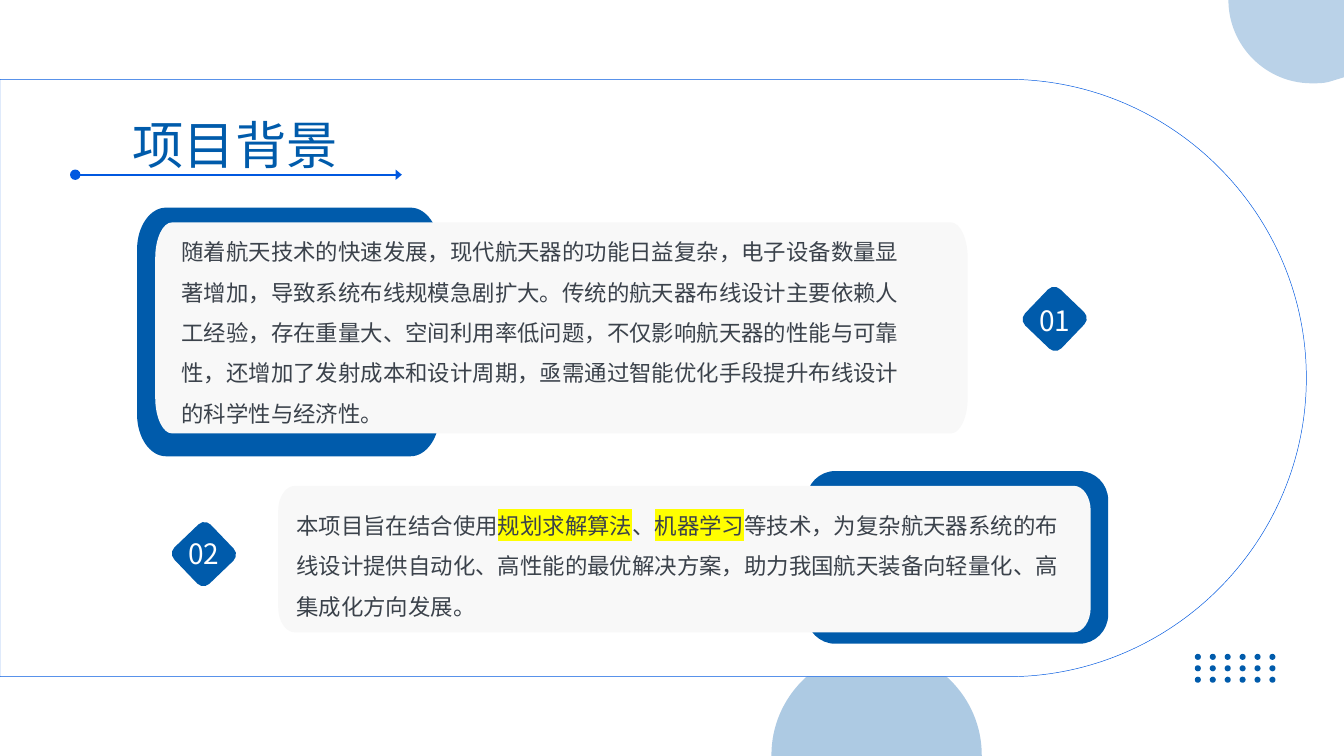
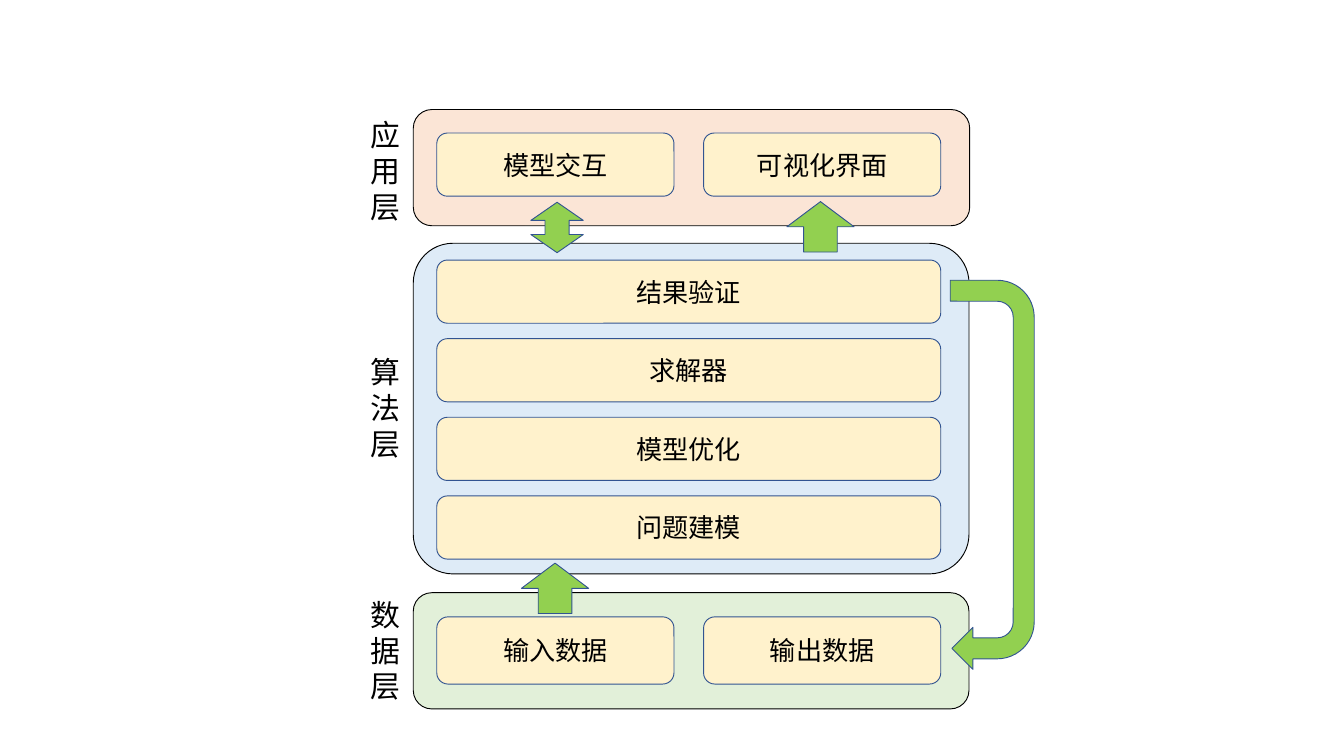
from collections import namedtuple

from lxml.etree import SubElement
from pptx import Presentation
from pptx.dml.color import RGBColor
from pptx.enum.shapes import MSO_CONNECTOR, MSO_SHAPE
from pptx.enum.text import MSO_ANCHOR, MSO_AUTO_SIZE, PP_ALIGN
from pptx.oxml.ns import qn
from pptx.util import Inches, Pt

WIDTH, HEIGHT = 20, 11.25
FONT = "Noto Sans CJK SC"
COLORS = {
    "blue": "005BAB", "bright": "0058E0", "white": "FFFFFF", "panel": "F8F8F8",
    "ink": "3B424B", "black": "000000", "marker": "FFFF00",
    "data": "E2F0D9", "algorithm": "DEEBF7", "application": "FBE5D6",
    "card": "FFF2CC", "outline": "325491", "arrow": "92D050",
}
Box = namedtuple("Box", "left top width height")


# Shared helpers
def place(box):
    return [Inches(value) for value in box]


def paint(shape, fill, line=None, weight=1.0, opacity=None):
    shape.shadow.inherit = False
    shape.fill.solid()
    shape.fill.fore_color.rgb = RGBColor.from_string(COLORS[fill])
    if opacity:
        color = shape.fill._xPr.find(".//" + qn("a:srgbClr"))
        SubElement(color, qn("a:alpha"), val=str(opacity * 1000))
    if line:
        shape.line.color.rgb = RGBColor.from_string(COLORS[line])
        shape.line.width = Pt(weight)
    else:
        shape.line.fill.background()


def add_preset(page, kind, box, fill, line=None, adjustments=(), rotation=0):
    shape = page.shapes.add_shape(kind, *place(box))
    for index, value in enumerate(adjustments):
        shape.adjustments[index] = value
    if len(adjustments) > 1:  # guides must be numbered in order
        for number, guide in enumerate(shape._element.iter(qn("a:gd")), 1):
            guide.set("name", f"adj{number}")
    shape.rotation = rotation
    paint(shape, fill, line)
    return shape


def quarter(start, corner, end):
    """Curve segment for a quarter ellipse that bends around a corner."""
    def toward(point):
        return tuple(p + 0.55 * (c - p) for p, c in zip(point, corner))
    return [toward(start), toward(end), end]


def add_outline(page, start, segments, fill, **style):
    """Closed outline; a segment has one point (line) or three (curve)."""
    builder = page.shapes.build_freeform(*map(Inches, start))
    builder.add_line_segments(
        [tuple(map(Inches, point)) for segment in segments for point in segment])
    shape = builder.convert_to_shape()
    steps = iter(list(shape._element.iter(qn("a:lnTo"))))
    for segment in segments:
        step = next(steps)
        if len(segment) == 3:
            step.tag = qn("a:cubicBezTo")
            for _ in range(2):
                extra = next(steps)
                step.append(extra[0])
                extra.getparent().remove(extra)
    paint(shape, fill, **style)


def add_rounded(page, box, radius_x, radius_y, fill):
    """Rectangle with elliptical corners."""
    left, top = box.left, box.top
    right, bottom = left + box.width, top + box.height
    inner_left, inner_right = left + radius_x, right - radius_x
    inner_top, inner_bottom = top + radius_y, bottom - radius_y
    segments = [
        quarter((left, inner_top), (left, top), (inner_left, top)),
        [(inner_right, top)],
        quarter((inner_right, top), (right, top), (right, inner_top)),
        [(right, inner_bottom)],
        quarter((right, inner_bottom), (right, bottom), (inner_right, bottom)),
        [(inner_left, bottom)],
        quarter((inner_left, bottom), (left, bottom), (left, inner_bottom)),
    ]
    add_outline(page, (left, inner_top), segments, fill)


def write_text(shape, spans, size, color="black", align=None, spacing=None,
               anchor=MSO_ANCHOR.TOP, inset=None):
    """Fill a shape with spans: a string, or (text, highlight) pairs."""
    frame = shape.text_frame
    frame.word_wrap = True
    frame.auto_size = MSO_AUTO_SIZE.NONE
    frame.vertical_anchor = anchor
    if inset is not None:
        frame.margin_left = frame.margin_right = Inches(inset)
        frame.margin_top = frame.margin_bottom = Inches(inset)
    para = frame.paragraphs[0]
    para.alignment = align
    para.line_spacing = spacing
    for text, highlight in [(spans, None)] if isinstance(spans, str) else spans:
        span = para.add_run()
        span.text = text
        span.font.size = Pt(size)
        span.font.color.rgb = RGBColor.from_string(COLORS[color])
        properties = span._r.get_or_add_rPr()
        if highlight:
            marker = SubElement(properties, qn("a:highlight"))
            SubElement(marker, qn("a:srgbClr"), val=COLORS[highlight])
        span.font.name = FONT
        SubElement(properties, qn("a:ea"), typeface=FONT)


def add_text(page, box, spans, **style):
    write_text(page.shapes.add_textbox(*place(box)), spans, **style)


# Background slide
def add_dots(page, box, columns=6, rows=3, size=0.09):
    step_x = (box.width - size) / (columns - 1)
    step_y = (box.height - size) / (rows - 1)
    for row in range(rows):
        for column in range(columns):
            dot = Box(box.left + column * step_x, box.top + row * step_y, size, size)
            add_preset(page, MSO_SHAPE.OVAL, dot, "blue")


def add_lower_circle(page, box):
    """Upper half of a circle, cut by the slide edge."""
    right, middle = box.left + box.width, box.left + box.width / 2
    level = box.top + box.width / 2
    crown = (middle, box.top)
    add_outline(page, crown, [
        quarter(crown, (right, box.top), (right, level)),
        [(right, HEIGHT)], [(box.left, HEIGHT)], [(box.left, level)],
        quarter((box.left, level), (box.left, box.top), crown),
    ], "blue", opacity=32)


def add_upper_circle(page, box):
    """Lower part of a circle, cut by the slide corner."""
    start, bottom = (box.left, box.top), box.top + box.height
    foot = (box.left + box.height, bottom)
    add_outline(page, start, [
        [(WIDTH, 0)], [(WIDTH, 1.15)], [(19.77, 1.22)],
        [(19.69, bottom), (19.61, bottom), foot],
        quarter(foot, (box.left, bottom), start),
    ], "blue", opacity=27)


def add_pane(page, box):
    """White pane with a half-round right end."""
    radius = box.height / 2
    right, bottom = box.left + box.width, box.top + box.height
    bend, tip = right - radius, (right, box.top + radius)
    add_outline(page, (box.left, box.top), [
        [(bend, box.top)],
        quarter((bend, box.top), (right, box.top), tip),
        quarter(tip, (right, bottom), (bend, bottom)),
        [(box.left, bottom)],
    ], "white", line="bright", weight=0.5)


def add_heading(page, box, text):
    start, end, y = box.left + 0.1, box.left + box.width, box.top + 0.91
    rule = page.shapes.add_connector(
        MSO_CONNECTOR.STRAIGHT, Inches(start), Inches(y), Inches(end), Inches(y))
    rule.line.color.rgb = RGBColor.from_string(COLORS["bright"])
    rule.line.width = Pt(2.25)
    line = rule.line._get_or_add_ln()
    SubElement(line, qn("a:headEnd"), type="oval", w="lg", len="lg")
    SubElement(line, qn("a:tailEnd"), type="triangle", w="lg", len="med")
    SubElement(rule._element.spPr, qn("a:effectLst"))
    title = page.shapes.title
    title.left, title.top, title.width, title.height = place(box)
    write_text(title, text, size=55, color="blue", align=PP_ALIGN.CENTER,
               spacing=Pt(66), inset=0)
    title.element.getparent().append(title.element)  # bring in front of the pane


def add_statement(page, panel, frame, frame_radius, panel_radius, text_box, spans):
    """Blue frame behind a grey panel; frame and text are relative to the panel."""
    def inside(part):
        return Box(panel.left + part.left, panel.top + part.top, part.width, part.height)
    add_rounded(page, inside(frame), *frame_radius, "blue")
    add_rounded(page, panel, *panel_radius, "panel")
    add_text(page, inside(text_box), spans, size=24, color="ink", spacing=1.5, inset=0)


def add_number(page, box, text, rotation, drop):
    add_preset(page, MSO_SHAPE.ROUNDED_RECTANGLE, box, "blue",
               adjustments=[0.17], rotation=rotation)
    label = Box(box.left - 0.1, box.top + drop, box.width + 0.2, 0.51)
    add_text(page, label, text, size=30, color="white", align=PP_ALIGN.CENTER,
             spacing=Pt(36), inset=0)


def build_background(page):
    add_lower_circle(page, Box(11.48, 9.67, 3.13, 1.58))
    add_dots(page, Box(17.78, 9.73, 1.2, 0.43))
    add_pane(page, Box(0, 1.18, 19.44, 8.89))
    add_statement(
        page, Box(2.31, 3.31, 12.09, 3.14), Box(-0.27, -0.22, 4.5, 3.7),
        (0.43, 0.62), (0.25, 0.53), Box(0.39, 0.04, 10.89, 2.97),
        "随着航天技术的快速发展，现代航天器的功能日益复杂，电子设备数量显著增加，"
        "导致系统布线规模急剧扩大。传统的航天器布线设计主要依赖人工经验，存在重量大、"
        "空间利用率低问题，不仅影响航天器的性能与可靠性，还增加了发射成本和设计周期，"
        "亟需通过智能优化手段提升布线设计的科学性与经济性。")
    add_number(page, Box(15.32, 4.37, 0.75, 0.75), "01", 43.8, drop=0.14)
    add_statement(
        page, Box(4.14, 7.23, 12.09, 2.18), Box(7.86, -0.22, 4.49, 2.57),
        (0.43, 0.43), (0.25, 0.37), Box(0.27, 0.19, 11.55, 1.75),
        [("本项目旨在结合使用", None), ("规划求解算法", "marker"), ("、", None),
         ("机器学习", "marker"),
         ("等技术，为复杂航天器系统的布线设计提供自动化、高性能的最优解决方案，"
          "助力我国航天装备向轻量化、高集成化方向发展。", None)])
    add_number(page, Box(2.66, 7.87, 0.75, 0.75), "02", 316.2, drop=0.12)
    add_heading(page, Box(1.02, 1.69, 4.96, 0.93), "项目背景")
    add_upper_circle(page, Box(18.28, 0, 1.72, 1.24))


# Architecture slide
def add_layer(page, box, name, fill, radius, rows, card_top, card_height=0.94,
              name_drop=0.0):
    """Layer band with its name on the left and rows of cards inside."""
    add_preset(page, MSO_SHAPE.ROUNDED_RECTANGLE, box, fill, "black", [radius])
    name_top = box.top + box.height / 2 - 0.86 + name_drop
    add_text(page, Box(box.left - 0.73, name_top, 0.58, 1.72), name, size=32)
    gap, full, row_step = 0.44, 7.5, 1.17
    for row, names in enumerate(rows):
        width = (full - gap * (len(names) - 1)) / len(names)
        for column, text in enumerate(names):
            card = add_preset(
                page, MSO_SHAPE.ROUNDED_RECTANGLE,
                Box(box.left + 0.35 + column * (width + gap),
                    box.top + card_top + row * row_step, width, card_height),
                "card", "outline")
            write_text(card, text, size=28, align=PP_ALIGN.CENTER,
                       anchor=MSO_ANCHOR.MIDDLE)


def add_flows(page):
    flows = [
        (MSO_SHAPE.UP_ARROW, Box(7.76, 8.38, 1, 0.75), [], 0),
        (MSO_SHAPE.UP_ARROW, Box(11.71, 3, 1, 0.75), [], 0),
        (MSO_SHAPE.UP_DOWN_ARROW, Box(7.9, 3.01, 0.78, 0.75), [0.46, 0.36], 0),
        (MSO_SHAPE.U_TURN_ARROW, Box(11.87, 6.44, 5.79, 1.25),
         [0.25, 0.25, 0.25, 0.44, 0.98], 90),
    ]
    for kind, box, adjustments, rotation in flows:
        add_preset(page, kind, box, "arrow", "outline", adjustments, rotation)


def build_architecture(page):
    add_layer(page, Box(6.15, 8.82, 8.27, 1.73), "数据层", "data", 0.16,
              [["输入数据", "输出数据"]], card_top=0.36, card_height=1)
    add_layer(page, Box(6.15, 3.62, 8.27, 4.92), "算法层", "algorithm", 0.12,
              [["结果验证"], ["求解器"], ["模型优化"], ["问题建模"]], card_top=0.25)
    add_layer(page, Box(6.15, 1.63, 8.28, 1.73), "应用层", "application", 0.16,
              [["模型交互", "可视化界面"]], card_top=0.35, name_drop=0.05)
    add_flows(page)


def main():
    deck = Presentation()
    deck.slide_width, deck.slide_height = Inches(WIDTH), Inches(HEIGHT)
    title_only, blank = deck.slide_layouts[5], deck.slide_layouts[6]
    build_background(deck.slides.add_slide(title_only))
    build_architecture(deck.slides.add_slide(blank))
    deck.save("out.pptx")


if __name__ == "__main__":
    main()
